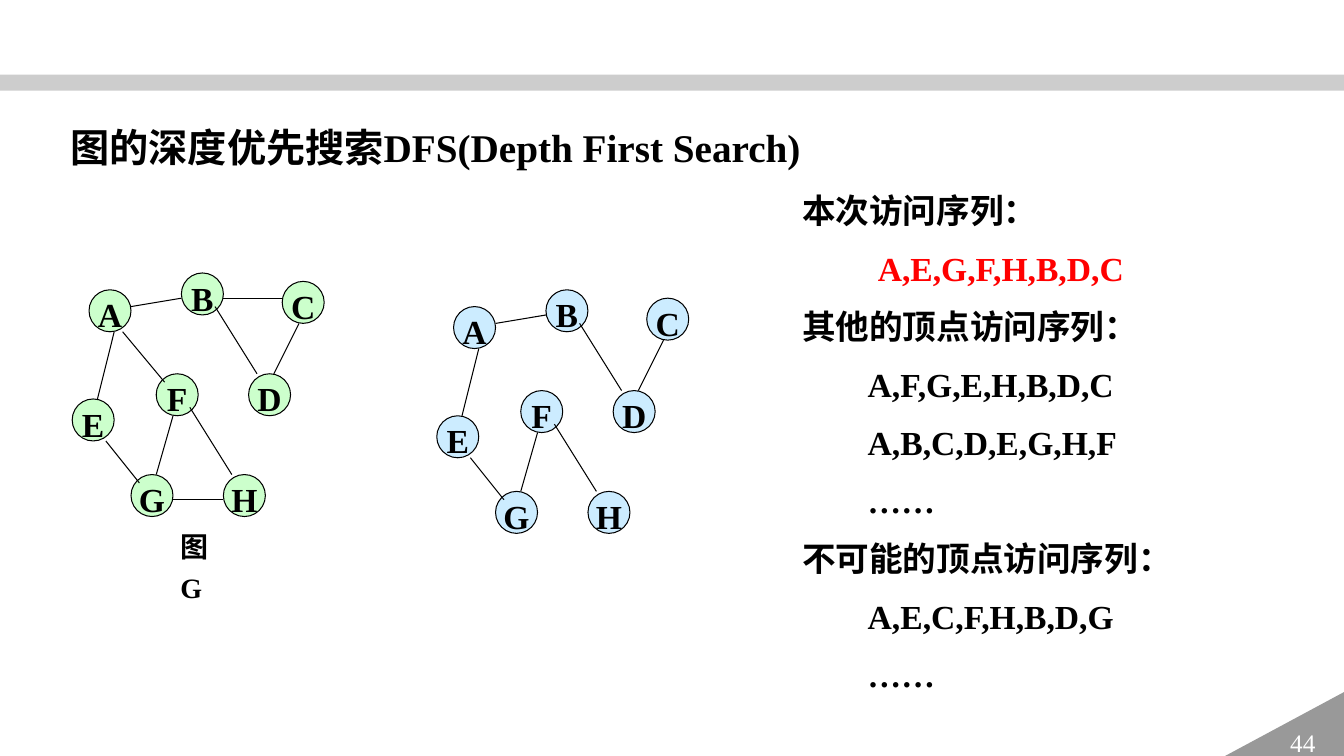
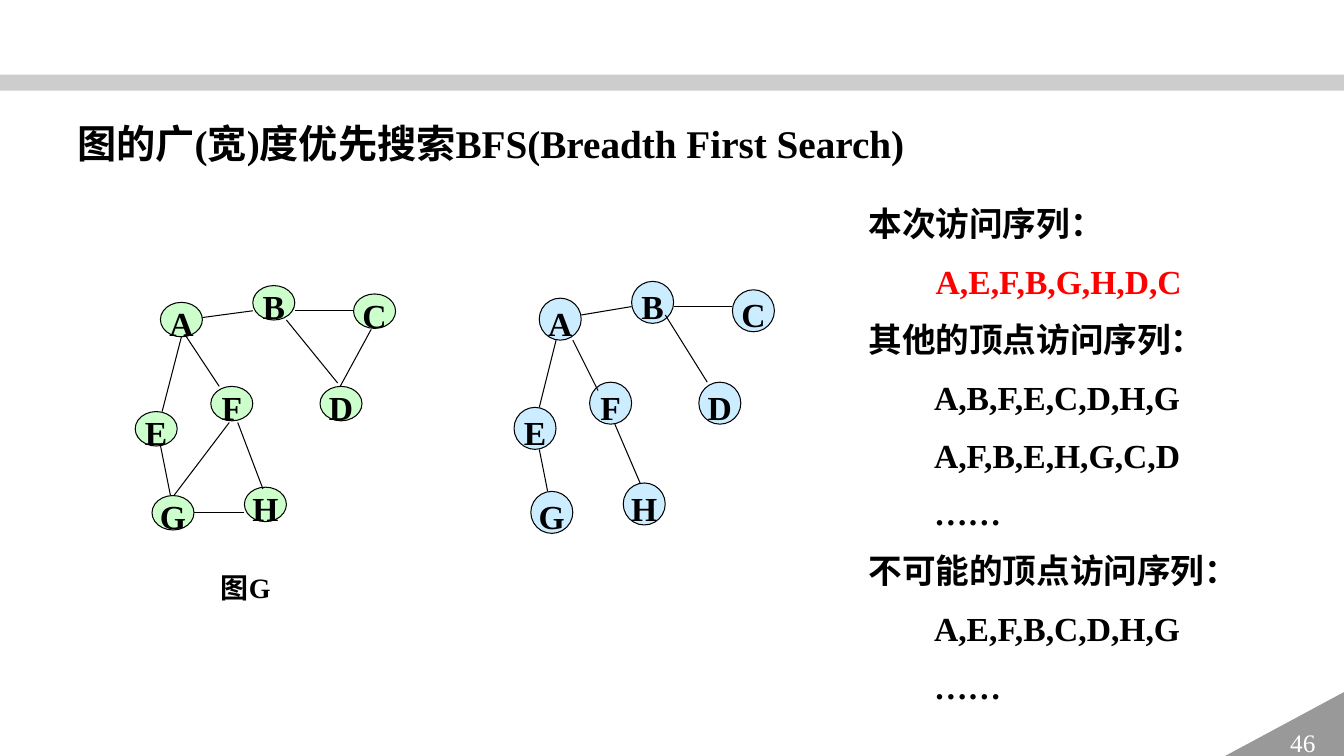
from dataclasses import dataclass
from lxml.etree import SubElement as Sub
from pptx import Presentation
from pptx.dml.color import RGBColor as Rgb
from pptx.enum.shapes import MSO_CONNECTOR as Link, MSO_SHAPE as Form
from pptx.enum.text import MSO_ANCHOR as Anchor, MSO_AUTO_SIZE as Fit, PP_ALIGN as Align
from pptx.oxml.ns import qn
from pptx.util import Inches, Pt


@dataclass(frozen=True)
class Theme:
    """Colours, type sizes and line pitches."""
    face: str = "Times New Roman"
    ink: str = "000000"
    red: str = "FF0000"
    pale: str = "FFFFFF"
    band: str = "CDCDCD"
    nook: str = "999999"
    green: str = "CCFFCC"
    blue: str = "CCECFF"
    title: tuple = (28, 36)
    body: tuple = (24, 41.4)
    node: tuple = (24, 34)
    label: tuple = (20, 29.3)
    page: tuple = (18, 22)
    line: float = 0.75


T = Theme()
COLS, ROWS = 160, 90
NODE = 5


def cell(*nums):
    """Turn grid cells into lengths."""
    return [Inches(n / 12) for n in nums]


def place(shape, box):
    """Move a shape to a box given in cells."""
    shape.left, shape.top, shape.width, shape.height = cell(*box)


def style(para, kind, tint=T.ink, bold=True, align=Align.LEFT):
    """Format one paragraph."""
    size, pitch = kind
    para.alignment = align
    para.line_spacing = Pt(pitch)
    para.space_before = para.space_after = Pt(0)
    font = para.font
    font.name, font.size, font.bold = T.face, Pt(size), bold
    font.color.rgb = Rgb.from_string(tint)


def solid(slide, form, box, tint):
    """Add a plain filled shape."""
    shape = slide.shapes.add_shape(form, *cell(*box))
    shape.shadow.inherit = False
    shape.fill.solid()
    shape.fill.fore_color.rgb = Rgb.from_string(tint)
    shape.line.fill.background()
    return shape


def frame(slide, page):
    """Draw the band and the page corner."""
    solid(slide, Form.RECTANGLE, (0, 8.9, COLS, 1.9), T.band)
    nook = solid(slide, Form.RIGHT_TRIANGLE, (145.3, 82.4, 14.7, 7.9), T.nook)
    nook._element.spPr.find(qn("a:xfrm")).set("flipH", "1")
    text = nook.text_frame
    text.text = page
    text.vertical_anchor = Anchor.MIDDLE
    style(text.paragraphs[0], T.page, T.pale, False, Align.CENTER)


def head(slide, text, spot):
    """Fill and move the title placeholder."""
    title = slide.shapes.title
    place(title, (*spot, 116, 8))
    title.text = text
    body = title.text_frame
    body.vertical_anchor = Anchor.TOP
    body.auto_size = Fit.NONE
    style(body.paragraphs[0], T.title)


def listing(slide, rows, spot, dent):
    """Fill the body with headings and indented sequences."""
    body = slide.placeholders[1]
    place(body, (*spot, 50, 65))
    text = body.text_frame
    text.text = "\n".join(rows)
    text.vertical_anchor = Anchor.TOP
    text.auto_size = Fit.NONE
    for rank, (row, para) in enumerate(zip(rows, text.paragraphs)):
        first = rank == 1
        step = 0 if row.endswith("：") else dent if first else 7.8
        props = para._p.get_or_add_pPr()
        props.set("marL", str(cell(step)[0]))
        props.set("indent", "0")
        Sub(props, qn("a:buNone"))
        style(para, T.body, T.red if first else T.ink)


def graph(slide, spot, nodes, edges, tint, tall=NODE):
    """Draw nodes and edges from a corner."""
    left, top = spot
    for name, (col, row) in nodes.items():
        node = solid(slide, Form.OVAL, (left + col, top + row, NODE, tall), tint)
        node.line.color.rgb = Rgb.from_string(T.ink)
        node.line.width = Pt(T.line)
        text = node.text_frame
        text.text = name
        text.word_wrap = False
        text.vertical_anchor = Anchor.MIDDLE
        text.margin_left = text.margin_right = text.margin_top = text.margin_bottom = 0
        style(text.paragraphs[0], T.node, align=Align.CENTER)
    for ax, ay, bx, by in edges:
        ends = cell(left + ax, top + ay, left + bx, top + by)
        edge = slide.shapes.add_connector(Link.STRAIGHT, *ends)
        edge.line.color.rgb = Rgb.from_string(T.ink)
        edge.line.width = Pt(T.line)
        Sub(edge._element.spPr, qn("a:effectLst"))


def label(slide, box):
    """Name the graph."""
    text = slide.shapes.add_textbox(*cell(*box)).text_frame
    text.word_wrap = True
    text.text = "图G"
    style(text.paragraphs[0], T.label)


def search(deck, page, title, spot, rows, side, dent, graphs, box):
    """Build one search slide."""
    slide = deck.slides.add_slide(deck.slide_layouts[1])
    frame(slide, page)
    head(slide, title, spot)
    for args in graphs:
        graph(slide, *args)
    label(slide, box)
    listing(slide, rows, side, dent)


def rows(now, more, never):
    """Compose the lines of a listing."""
    return ["本次访问序列：", now, "其他的顶点访问序列：", *more, "……",
            "不可能的顶点访问序列：", never, "……"]


DEEP = dict(F=(10, 12), D=(21, 12), B=(13, 0), C=(25, 1),
            A=(2, 2), G=(7, 24), H=(18, 24), E=(0, 15))
WIDE = dict(F=(9, 12), D=(22, 12), B=(14, 0), C=(26, 1),
            A=(3, 2), G=(2, 25), H=(13, 24), E=(0, 15))
DEEP_TREE = [(24, 12, 27, 6), (22, 12, 17, 4), (7, 4, 13, 3), (19, 24, 14, 16),
             (10, 24, 12, 17), (5, 7, 3, 15), (4, 20, 8, 25)]
DEEP_ALL = DEEP_TREE + [(25, 3, 18, 3), (6, 7, 11, 13), (12, 27, 18, 27)]
WIDE_TREE = [(26, 3, 19, 3), (23, 12, 18, 4), (7, 7, 10, 13), (8, 4, 14, 3),
             (15, 24, 12, 17), (5, 7, 3, 15), (3, 20, 4, 25)]
WIDE_ALL = [(24.4, 12, 28.1, 5.2), (26, 3, 19, 3), (24.1, 11.6, 18, 4.1),
            (5.9, 5.8, 10, 12), (8, 3.8, 14, 3), (7, 27, 13, 27),
            (15.2, 24.2, 12.2, 16.3), (4.6, 25, 11.2, 16.3),
            (5.5, 6.1, 3.2, 15), (3, 19, 4.2, 25)]


def main():
    """Build and save the deck."""
    deck = Presentation()
    deck.slide_width, deck.slide_height = cell(COLS, ROWS)
    search(deck, "44", "图的深度优先搜索DFS(Depth First Search)", (7.2, 13.7),
           rows("A,E,G,F,H,B,D,C", ["A,F,G,E,H,B,D,C", "A,B,C,D,E,G,H,F"],
                "A,E,C,F,H,B,D,G"),
           (94.3, 19.9), 9,
           [((8.6, 32.5), DEEP, DEEP_ALL, T.green),
            ((52, 34.5), DEEP, DEEP_TREE, T.blue)],
           (20.3, 61.6, 7.5, 11))
    search(deck, "46", "图的广(宽)度优先搜索BFS(Breadth First Search)", (8, 13.2),
           rows("A,E,F,B,G,H,D,C", ["A,B,F,E,C,D,H,G", "A,F,B,E,H,G,C,D"],
                "A,E,F,B,C,D,H,G"),
           (102.2, 21.4), 8,
           [((16.1, 34), WIDE, WIDE_ALL, T.green, 4.1),
            ((61.2, 33.5), WIDE, WIDE_TREE, T.blue)],
           (25.1, 66.4, 10, 6))
    deck.save("out.pptx")


if __name__ == "__main__":
    main()
